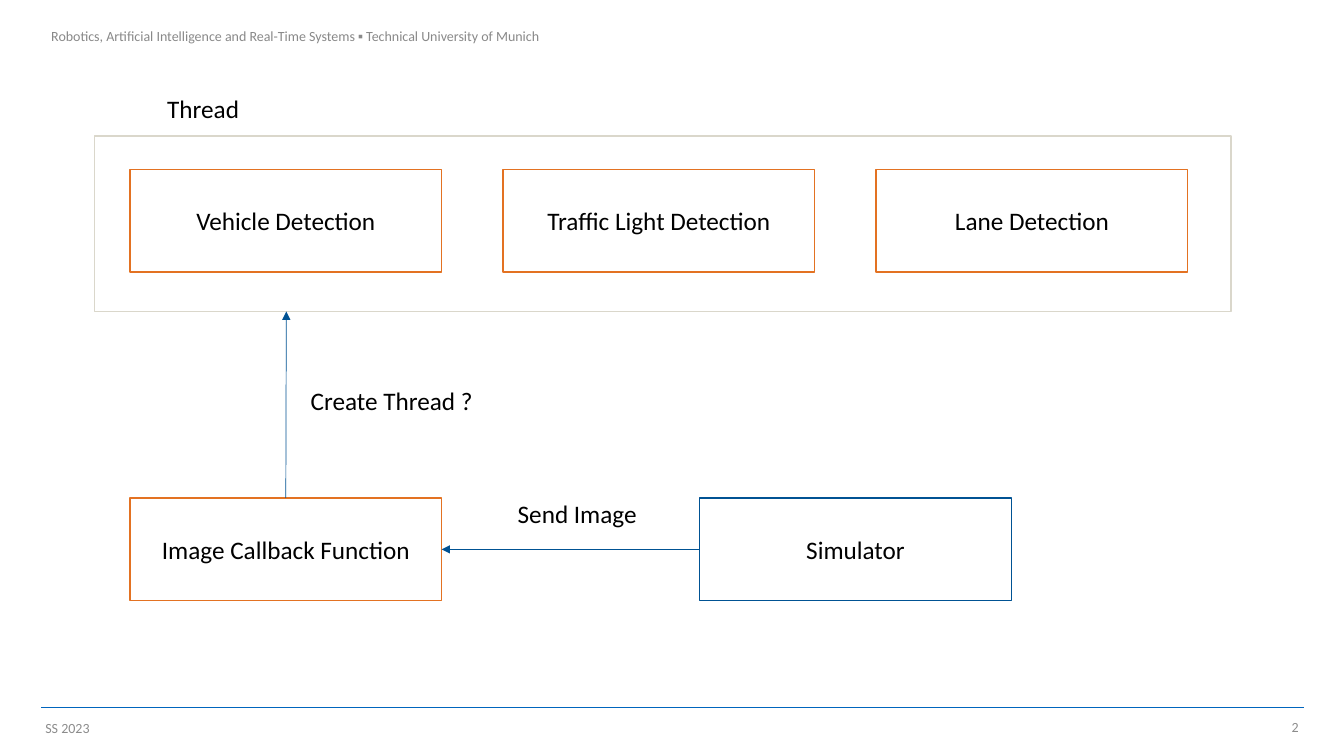
from lxml import etree
from pptx import Presentation
from pptx import util as u
from pptx.dml.color import RGBColor
from pptx.enum import shapes, text
from pptx.oxml import ns

PX = 9144
ORANGE, BLUE, GREY = "E37222", "005293", "8C8C8C"
LEFT, CENTER, RIGHT = text.PP_ALIGN.LEFT, text.PP_ALIGN.CENTER, text.PP_ALIGN.RIGHT
TOP, MIDDLE = text.MSO_ANCHOR.TOP, text.MSO_ANCHOR.MIDDLE


def px(*vals):
    return [u.Emu(v * PX) for v in vals]


def color(code):
    return RGBColor.from_string(code)


class Canvas:
    font = "Calibri"

    def __init__(self, slide):
        self.items = slide.shapes

    def letter(self, frame, words, size, ink, align, anchor, pads):
        frame.word_wrap = True
        frame.vertical_anchor = anchor
        (frame.margin_left, frame.margin_top,
         frame.margin_right, frame.margin_bottom) = px(*pads)
        para = frame.paragraphs[0]
        para.alignment = align
        run = para.add_run()
        run.text = words
        run.font.name = self.font
        run.font.size = u.Pt(size)
        run.font.color.rgb = color(ink)

    def label(self, area, words, size=18, ink="000000", align=CENTER,
              anchor=TOP, pads=(10, 5, 10, 5)):
        box = self.items.add_textbox(*px(*area))
        self.letter(box.text_frame, words, size, ink, align, anchor, pads)

    def box(self, area, edge, words=None):
        rect = self.items.add_shape(shapes.MSO_SHAPE.RECTANGLE, *px(*area))
        rect.shadow.inherit = False
        rect.fill.solid()
        rect.fill.fore_color.rgb = color("FFFFFF")
        rect.line.color.rgb = color(edge)
        rect.line.width = u.Pt(1)
        if words:
            self.letter(rect.text_frame, words, 18, "000000", CENTER, MIDDLE,
                        (10, 5, 10, 5))
        return rect

    def line(self, ends, ink, arrow=False):
        link = self.items.add_connector(shapes.MSO_CONNECTOR.STRAIGHT, *px(*ends))
        link.line.color.rgb = color(ink)
        link.line.width = u.Pt(0.5)
        props = link._element.spPr
        if arrow:
            tail = etree.SubElement(props.find(ns.qn("a:ln")), ns.qn("a:tailEnd"))
            tail.set("type", "triangle")
        etree.SubElement(props, ns.qn("a:effectLst"))
        return link


def main():
    deck = Presentation()
    deck.slide_width, deck.slide_height = px(1333, 750)
    page = Canvas(deck.slides.add_slide(deck.slide_layouts[6]))

    page.line((41, 702, 1293, 702), "0065BD")
    page.label((41, 1, 751, 68),
               "Robotics, Artificial Intelligence and Real-Time Systems ▪ "
               "Technical University of Munich",
               10, "898989", LEFT, TOP, (10, 26, 10, 5))
    foot = (4, 5, 4, 5)
    page.label((41, 710, 74, 24), "SS 2023", 10, GREY, LEFT, MIDDLE, foot)
    page.label((1233, 710, 59, 23), "2", 10, GREY, RIGHT, MIDDLE, foot)

    wide, high = 309, 102
    page.box((94, 135, 1127, 174), "DAD7CB")
    tasks = ("Vehicle Detection", "Traffic Light Detection", "Lane Detection")
    for col, task in enumerate(tasks):
        page.box((129 + 370 * col, 168, wide, high), ORANGE, task)

    call = page.box((129, 494, wide, high), ORANGE, "Image Callback Function")
    source = page.box((694, 494, wide, high), BLUE, "Simulator")

    rise = page.line((284, 494, 284, 309), BLUE, True)
    rise.begin_connect(call, 0)
    send = page.line((694, 545, 438, 545), BLUE, True)
    send.begin_connect(source, 1)
    send.end_connect(call, 3)

    page.label((295, 377, 187, 40), "Create Thread ?")
    page.label((495, 489, 155, 40), "Send Image")
    page.label((108, 88, 187, 40), "Thread")

    deck.save("out.pptx")


if __name__ == "__main__":
    main()
